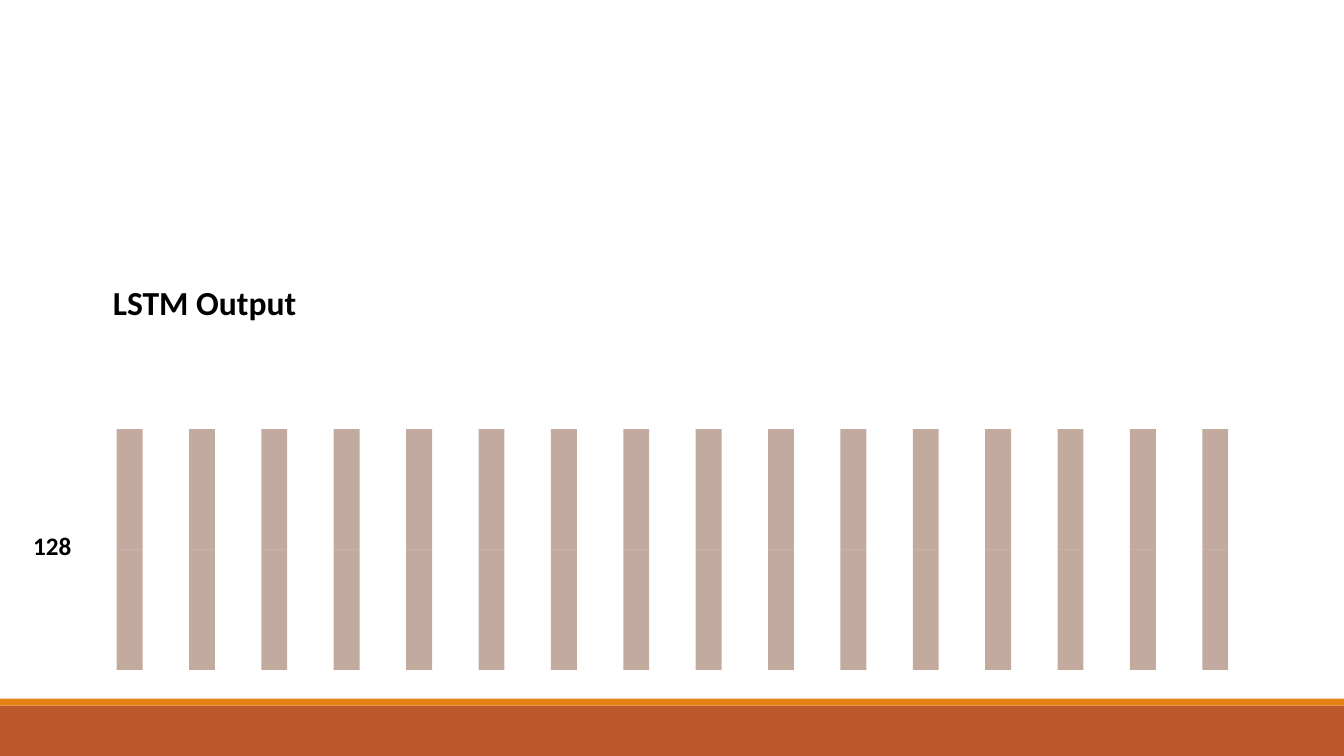
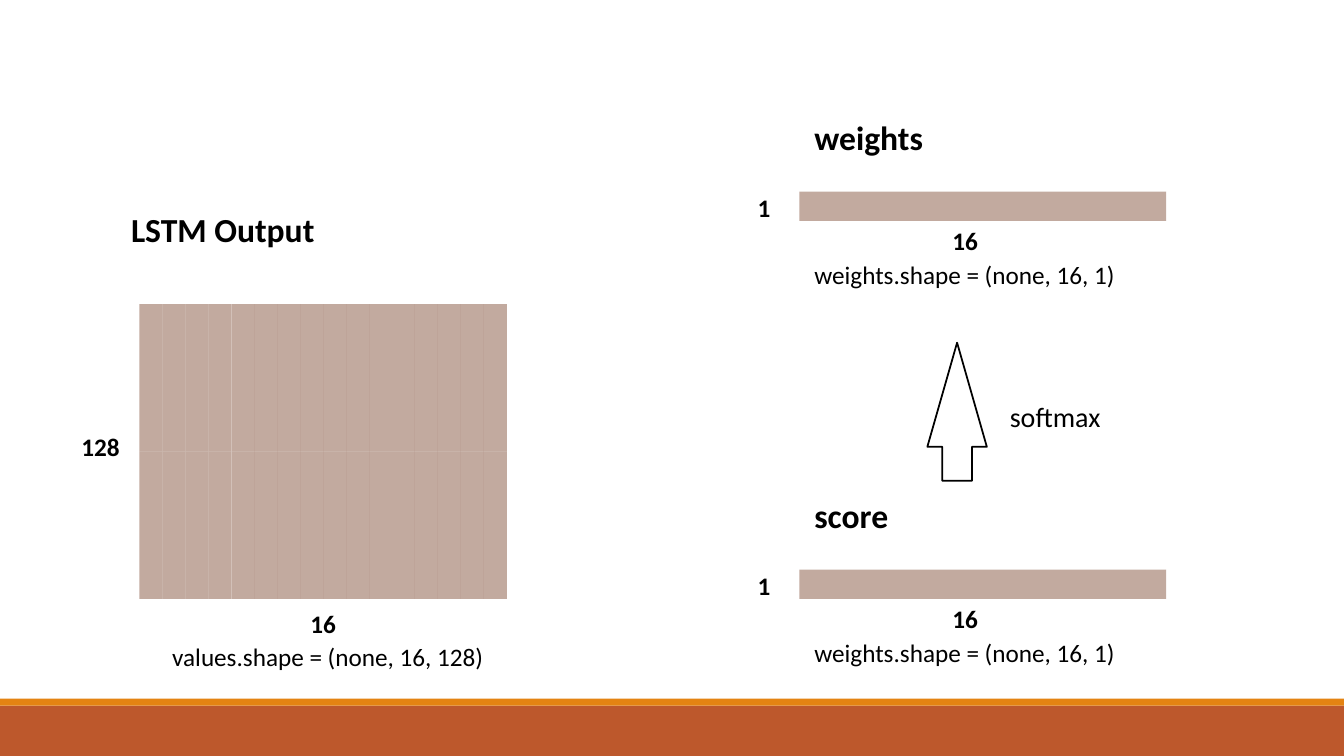
from pptx import Presentation
from pptx.dml.color import RGBColor
from pptx.enum.shapes import MSO_SHAPE
from pptx.enum.text import MSO_ANCHOR, MSO_AUTO_SIZE, PP_ALIGN
from pptx.oxml.ns import qn
from pptx.util import Pt
from lxml.etree import SubElement

BLACK = RGBColor(0x00, 0x00, 0x00)
WHITE = RGBColor(0xFF, 0xFF, 0xFF)
RUST = RGBColor(0xBD, 0x58, 0x2C)
ORANGE = RGBColor(0xE4, 0x83, 0x12)
BROWN = RGBColor(0x86, 0x56, 0x40)

WIDTH, HEIGHT = 960, 540
STEPS = 16
TITLE_ONLY = 5

FRAME = {"word_wrap": True, "auto_size": MSO_AUTO_SIZE.NONE, "vertical_anchor": MSO_ANCHOR.TOP}
PLAIN = {"alignment": PP_ALIGN.LEFT, "line_spacing": 1.0, "space_before": Pt(0)}
SPACED = {**PLAIN, "line_spacing": 1.07, "space_after": Pt(8)}
HEADING = {"name": "Calibri", "size": Pt(24), "bold": True}
LABEL = {**HEADING, "size": Pt(18)}
CAPTION = {**LABEL, "bold": False}
ACTION = {**CAPTION, "size": Pt(20)}


def style(target, formats):
    for name, value in formats.items():
        setattr(target, name, value)


class Deck:
    def __init__(self):
        self.prs = Presentation()
        style(self.prs, {"slide_width": Pt(WIDTH), "slide_height": Pt(HEIGHT)})
        self.s = None

    def slide(self, title, x, y):
        self.s = self.prs.slides.add_slide(self.prs.slide_layouts[TITLE_ONLY])
        self.rect(0, 504, WIDTH, 36, RUST)
        self.rect(0, 499, WIDTH, 5, ORANGE)
        sp = self.s.shapes.title
        box = {"left": Pt(x), "top": Pt(y), "width": Pt(149), "height": Pt(36)}
        style(sp, box)
        self.set_text(sp, title, HEADING)

    def set_text(self, sp, text, font, para=PLAIN):
        tf = sp.text_frame
        style(tf, FRAME)
        p = tf.paragraphs[0]
        style(p, para)
        r = p.add_run()
        r.text = text
        style(r.font, font)
        r.font.color.rgb = BLACK

    def text(self, text, x, y, w, h, font, para=PLAIN):
        sp = self.s.shapes.add_textbox(Pt(x), Pt(y), Pt(w), Pt(h))
        self.set_text(sp, text, font, para)

    def size_label(self, text, x, y):
        self.text(text, x, y, 50, 37, LABEL, SPACED)

    def shape(self, kind, x, y, w, h, fill, shapes=None):
        sp = (shapes or self.s.shapes).add_shape(kind, Pt(x), Pt(y), Pt(w), Pt(h))
        sp.shadow.inherit = False
        sp.fill.solid()
        sp.fill.fore_color.rgb = fill
        sp.line.fill.background()
        return sp

    def rect(self, x, y, w, h, fill):
        return self.shape(MSO_SHAPE.RECTANGLE, x, y, w, h, fill)

    def cell(self, x, y, w, h, shapes=None):
        sp = self.shape(MSO_SHAPE.RECTANGLE, x, y, w, h, BROWN, shapes)
        color = sp.element.spPr.find(qn("a:solidFill"))[0]
        SubElement(color, qn("a:alpha"), val="50000")

    def columns(self, x, y, w, half, pitch):
        for step in range(STEPS):
            group = self.s.shapes.add_group_shape()
            for part in range(2):
                self.cell(x + step * pitch, y + part * half, w, half, group.shapes)

    def vector(self, name, y):
        self.cell(571, y, 262, 21)
        self.size_label("16", 673.2, y + 19.4)
        self.size_label("1", 534.2, y - 4.4)
        self.text(name, 574.6, y - 57, 110, 36, HEADING)
        self.text("weights.shape = (none, 16, 1)", 574.6, y + 44.6, 262, 29, CAPTION)

    def up_arrow(self, x, y, w, h):
        sp = self.shape(MSO_SHAPE.UP_ARROW, x, y, w, h, WHITE)
        sp.adjustments[0] = 0.5
        sp.adjustments[1] = 1.75
        sp.line.color.rgb = BLACK
        sp.line.width = Pt(1.25)


def main():
    deck = Deck()

    deck.slide("LSTM Output", 73.4, 198)
    deck.columns(83.3, 306.5, 18.5, 86, 51.7)
    deck.size_label("128", 16.6, 373.7)

    deck.slide("LSTM Output", 86.4, 145.4)
    deck.columns(99.6, 217.2, 16.4, 105.3, 16.4)
    deck.size_label("128", 51.1, 303.1)
    deck.size_label("16", 214.6, 429.1)
    deck.text("values.shape = (none, 16, 128)", 115.9, 454.3, 240, 29, CAPTION)
    for name, y in (("score", 406.8), ("weights", 136.8)):
        deck.vector(name, y)
    deck.up_arrow(662.4, 244.8, 42.5, 98.6)
    deck.text("softmax", 714.2, 281.5, 85, 32, ACTION)

    deck.prs.save("out.pptx")


if __name__ == "__main__":
    main()
